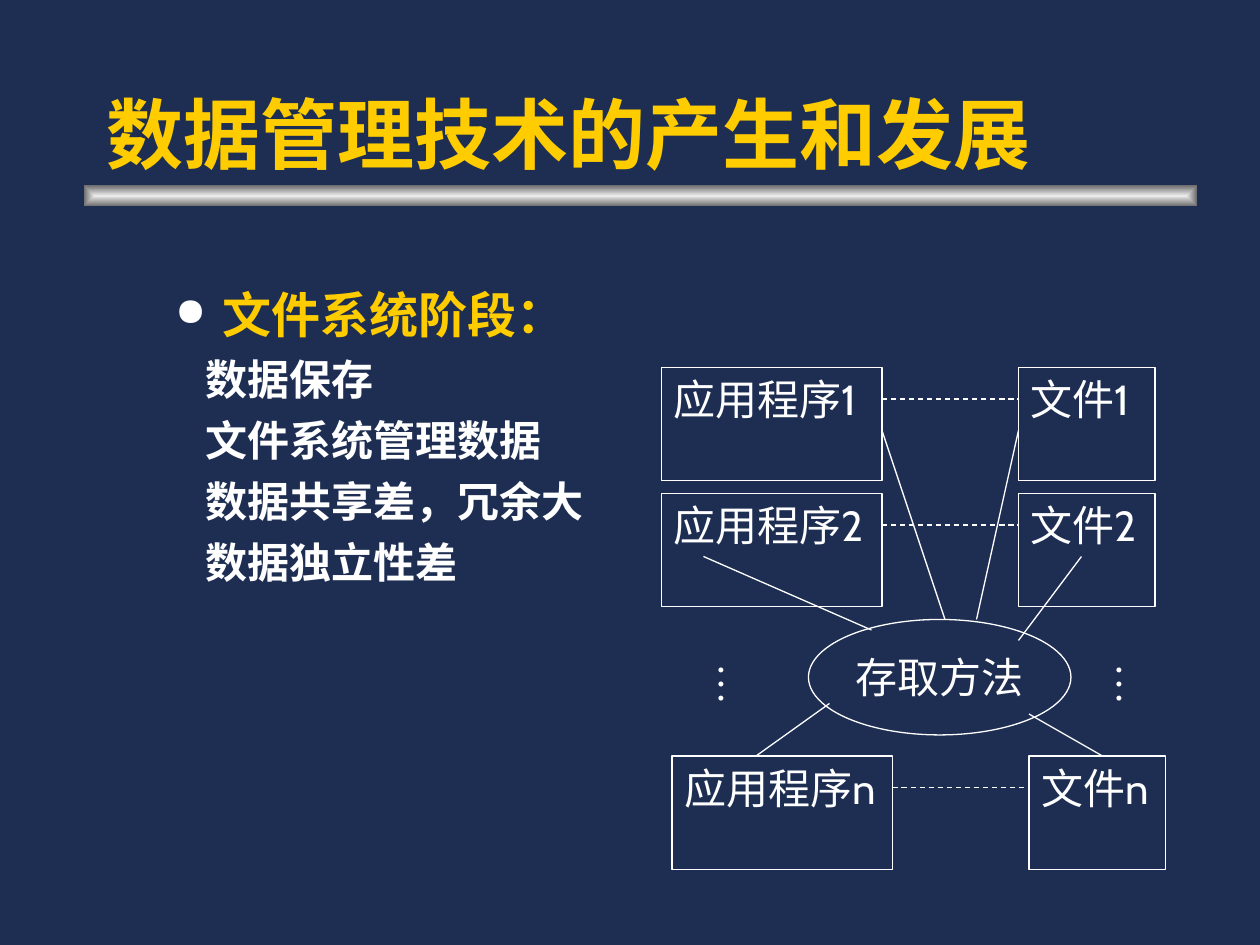
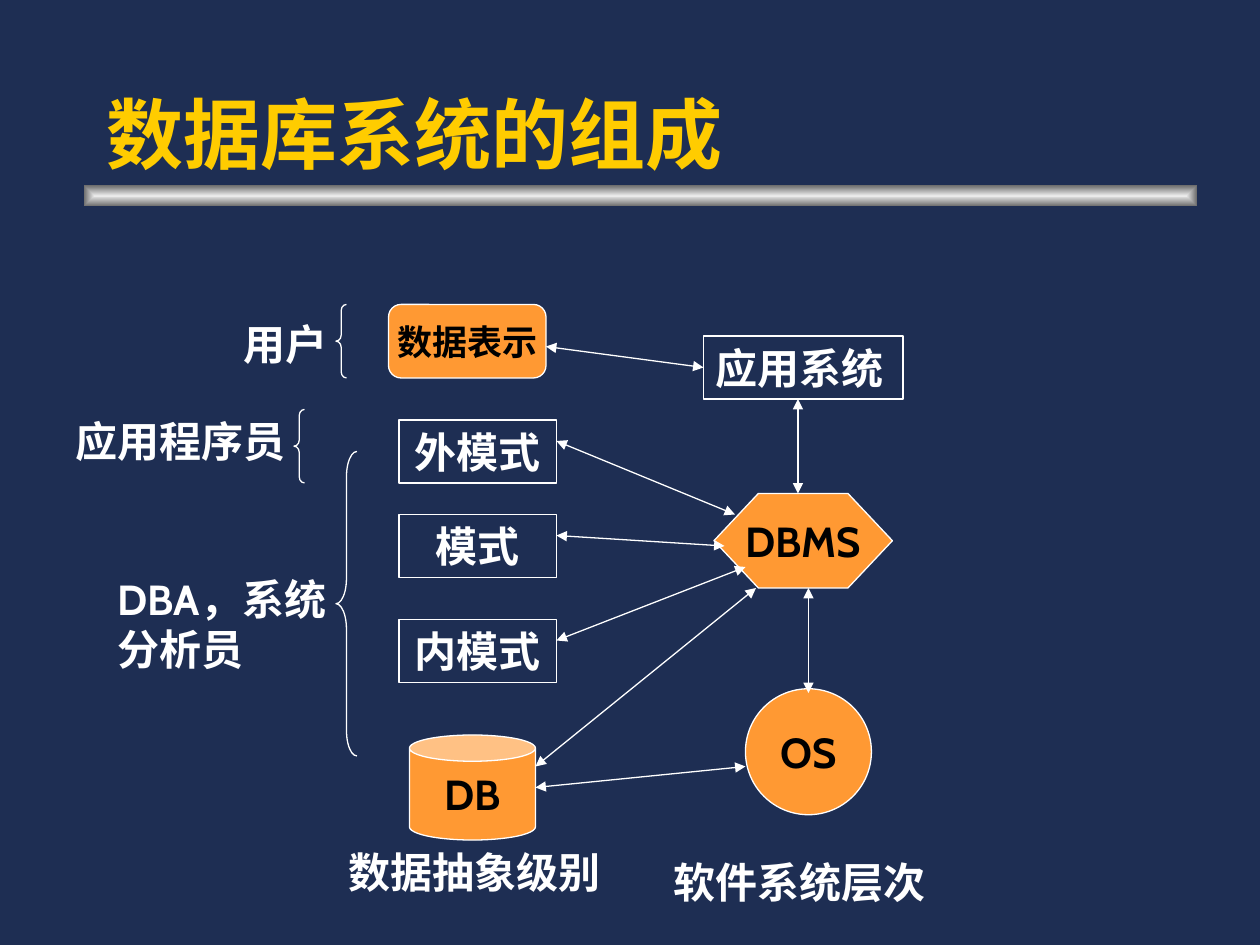
from dataclasses import dataclass, field
from typing import Any, Iterable

from lxml import etree
from pptx import Presentation
from pptx import util as u
from pptx.dml.color import RGBColor
from pptx.enum import dml, shapes, text
from pptx.oxml import parse_xml
from pptx.oxml.ns import nsdecls, qn
from pptx.slide import Slide

COLUMNS, ROWS = 120, 90
CELL = u.Inches(10) // COLUMNS
LINE_WIDTH = u.Pt(0.75)
COLORS = {
    "background": "1E2E53",
    "title": "FFCC00",
    "light": "FFFFFF",
    "accent": "FF9933",
    "dark": "000000",
    "band_middle": "EAEAEA",
    "band_edge": "6C6C6C",
}
KIND = shapes.MSO_SHAPE
CENTER = text.PP_ALIGN.CENTER
CENTERED_FRAME = {"vertical_anchor": text.MSO_ANCHOR.MIDDLE, "word_wrap": False}
DIAGRAM_FONT = {"name": "Cabin", "size": u.Pt(24), "bold": False}
BOLD_FONT = DIAGRAM_FONT | {"bold": True}
TITLE_FONT = {"name": "Arial", "size": u.Pt(44), "bold": True}


@dataclass
class Area:
    column: float
    row: float
    columns: float
    rows: float

    def lengths(self) -> list[int]:
        return [cells(n) for n in (self.column, self.row, self.columns, self.rows)]


@dataclass
class Node:
    """A shape, or a text box when it has no kind, on the grid."""
    area: Area
    label: str = ""
    kind: Any = None
    fill: str = ""
    color: str = "light"
    font: dict = field(default_factory=lambda: BOLD_FONT)
    frame: dict = field(default_factory=dict)
    align: Any = None
    adjustment: float | None = None


@dataclass
class Link:
    """A straight line between two grid points."""
    column: float
    row: float
    end_column: float
    end_row: float
    dashed: bool = False
    arrows: bool = False


def cells(count: float) -> int:
    return round(count * CELL)


def rgb(name: str) -> RGBColor:
    return RGBColor.from_string(COLORS[name])


def apply(target: Any, values: dict) -> None:
    for name, value in values.items():
        setattr(target, name, value)


def write(paragraph: Any, words: str, font: dict, color: str) -> None:
    run = paragraph.add_run()
    run.text = words
    apply(run.font, font)
    run.font.color.rgb = rgb(color)


def draw_node(slide: Slide, node: Node) -> Any:
    if node.kind is None:
        shape = slide.shapes.add_textbox(*node.area.lengths())
    else:
        shape = slide.shapes.add_shape(node.kind, *node.area.lengths())
        shape.shadow.inherit = False
        shape.line.color.rgb = rgb("light")
        shape.line.width = LINE_WIDTH
        if node.fill:
            shape.fill.solid()
            shape.fill.fore_color.rgb = rgb(node.fill)
        else:
            shape.fill.background()
    if node.adjustment is not None:
        shape.adjustments[0] = node.adjustment
    if node.label:
        top = {"word_wrap": True, "vertical_anchor": text.MSO_ANCHOR.TOP}
        apply(shape.text_frame, top | node.frame)
        paragraph = shape.text_frame.paragraphs[0]
        paragraph.alignment = node.align or text.PP_ALIGN.LEFT
        write(paragraph, node.label, node.font, node.color)
    return shape


def draw_links(slide: Slide, links: Iterable[Link]) -> None:
    for link in links:
        ends = map(cells, (link.column, link.row, link.end_column, link.end_row))
        connector = slide.shapes.add_connector(shapes.MSO_CONNECTOR.STRAIGHT, *ends)
        connector.line.color.rgb = rgb("light")
        connector.line.width = LINE_WIDTH
        if link.dashed:
            connector.line.dash_style = dml.MSO_LINE.DASH
        properties = connector._element.spPr
        if link.arrows:
            outline = properties.find(qn("a:ln"))
            for end in ("a:headEnd", "a:tailEnd"):
                etree.SubElement(outline, qn(end), type="triangle")
        etree.SubElement(properties, qn("a:effectLst"))


def draw_band(slide: Slide) -> None:
    """Draw the bar under the title, light in the middle and dark at its edges."""
    band = draw_node(slide, Node(Area(8, 17.65, 106, 2), kind=KIND.RECTANGLE))
    band.line.fill.background()
    stops = "".join(
        f'<a:gs pos="{position}"><a:srgbClr val="{COLORS[name]}"/></a:gs>'
        for position, name in ((0, "band_middle"), (100000, "band_edge")))
    gradient = parse_xml(
        f'<a:gradFill {nsdecls("a")} rotWithShape="1"><a:gsLst>{stops}</a:gsLst>'
        '<a:path path="rect"><a:fillToRect l="50000" t="50000" r="50000" b="50000"/>'
        '</a:path></a:gradFill>')
    properties = band._element.spPr
    properties.replace(properties.find(qn("a:noFill")), gradient)


def add_titled_slide(presentation: Any, title: str) -> Slide:
    slide = presentation.slides.add_slide(presentation.slide_layouts[6])
    slide.background.fill.solid()
    slide.background.fill.fore_color.rgb = rgb("background")
    draw_band(slide)
    draw_node(slide, Node(Area(9, 3, 102, 14.65), title, color="title", font=TITLE_FONT,
                          frame={"vertical_anchor": text.MSO_ANCHOR.BOTTOM}))
    return slide


def draw_stage_list(slide: Slide) -> None:
    heading_font = TITLE_FONT | {"size": u.Pt(28)}
    box = draw_node(slide, Node(Area(15.5, 26.5, 102, 59.5), "文件系统阶段：",
                                color="title", font=heading_font))
    frame = box.text_frame
    heading = frame.paragraphs[0]._p.get_or_add_pPr()
    apply_indent = {"marL": u.Inches(0.38), "indent": -u.Inches(0.38)}
    for name, value in apply_indent.items():
        heading.set(name, str(value))
    color = etree.SubElement(heading, qn("a:buClr"))
    etree.SubElement(color, qn("a:srgbClr"), val=COLORS["light"])
    etree.SubElement(heading, qn("a:buSzPct"), val="80000")
    etree.SubElement(heading, qn("a:buChar"), char="●")
    for feature in ("数据保存", "文件系统管理数据", "数据共享差，冗余大", "数据独立性差"):
        paragraph = frame.add_paragraph()
        paragraph.space_before = u.Pt(6)
        paragraph._p.get_or_add_pPr().set("marL", str(u.Inches(0.24)))
        write(paragraph, feature, TITLE_FONT | {"size": u.Pt(24)}, "light")


def build_file_system_slide(presentation: Any) -> None:
    slide = add_titled_slide(presentation, "数据管理技术的产生和发展")
    draw_stage_list(slide)
    for number, row, shift in (("1", 35, 0), ("2", 47, 0), ("n", 72, 1)):
        for name, column, width in (("应用程序", 63, 21), ("文件", 97, 13)):
            draw_node(slide, Node(Area(column + shift, row, width, 10.8), name + number,
                                  KIND.RECTANGLE, font=DIAGRAM_FONT))
        draw_links(slide, [Link(84 + shift, row + 3, 97 + shift, row + 3, dashed=True)])
    draw_node(slide, Node(Area(77, 59, 25, 11), "存取方法", KIND.OVAL, font=DIAGRAM_FONT,
                          frame=CENTERED_FRAME, align=CENTER))
    draw_links(slide, [
        Link(84, 41, 90, 59), Link(97, 41, 93, 59),
        Link(67, 53, 83, 60), Link(103, 53, 97, 61),
        Link(79, 67, 72, 72), Link(98, 68, 105, 72),
    ])
    margins = {"margin_left": u.Inches(0.05), "margin_right": u.Inches(0.05),
               "margin_top": u.Inches(0.1), "margin_bottom": u.Inches(0.1)}
    for column in (65.9, 103.8):
        dots = draw_node(slide, Node(
            Area(column, 62, 7.2, 6), "…", frame=margins,
            font=DIAGRAM_FONT | {"name": "Times New Roman"}))
        dots.text_frame._txBody.bodyPr.set("vert", "eaVert")


def build_components_slide(presentation: Any) -> None:
    slide = add_titled_slide(presentation, "数据库系统的组成")
    for label, kind, area, adjustment, size in (
        ("DBMS", KIND.HEXAGON, Area(68, 47, 17, 9), 0.47, 24),
        ("OS", KIND.OVAL, Area(71, 65.6, 12, 12), None, 24),
        ("数据表示", KIND.ROUNDED_RECTANGLE, Area(37, 29, 15, 7), 0.17, 20),
        ("DB", KIND.CAN, Area(39, 70, 12, 10), 0.25, 24),
    ):
        draw_node(slide, Node(area, label, kind, "accent", "dark",
                              BOLD_FONT | {"size": u.Pt(size)}, CENTERED_FRAME,
                              CENTER, adjustment))
    draw_node(slide, Node(Area(67, 32, 19, 6), "应用系统", KIND.RECTANGLE))
    for schema, row in (("外模式", 40), ("模式", 49), ("内模式", 59)):
        draw_node(slide, Node(Area(38, row, 15, 6), schema, KIND.RECTANGLE, align=CENTER))
    for label, area in (
        ("数据抽象级别", Area(32, 80, 29, 6)),
        ("软件系统层次", Area(63, 81, 29, 6)),
        ("DBA，系统分析员", Area(10, 54, 23, 10.8)),
        ("应用程序员", Area(6, 39, 29, 6)),
        ("用户", Area(22, 29.75, 12, 6)),
    ):
        draw_node(slide, Node(area, label))
    for area in (Area(32, 43, 2, 29), Area(28, 39, 1, 7), Area(32, 29, 1, 7)):
        curl = area.rows / area.columns / 12
        draw_node(slide, Node(area, kind=KIND.LEFT_BRACE, adjustment=curl))
    draw_links(slide, [Link(*ends, arrows=True) for ends in (
        (52, 33, 67, 35), (76, 38, 76, 47), (77, 56, 77, 66), (53, 42, 70, 49),
        (53, 51, 69, 52), (53, 61, 71, 54), (51, 73, 72, 56), (51, 75, 71, 73),
    )])


def main() -> None:
    presentation = Presentation()
    presentation.slide_width = cells(COLUMNS)
    presentation.slide_height = cells(ROWS)
    build_file_system_slide(presentation)
    build_components_slide(presentation)
    presentation.save("out.pptx")


if __name__ == "__main__":
    main()
